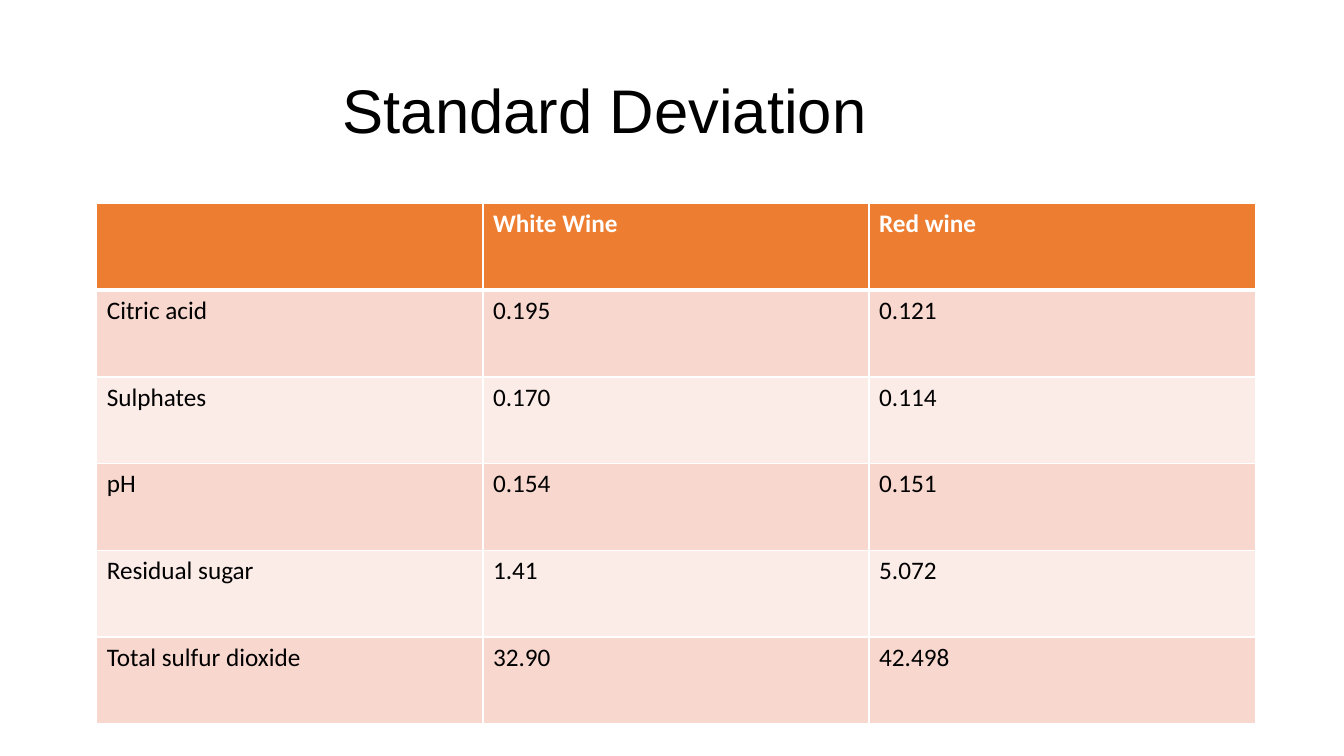
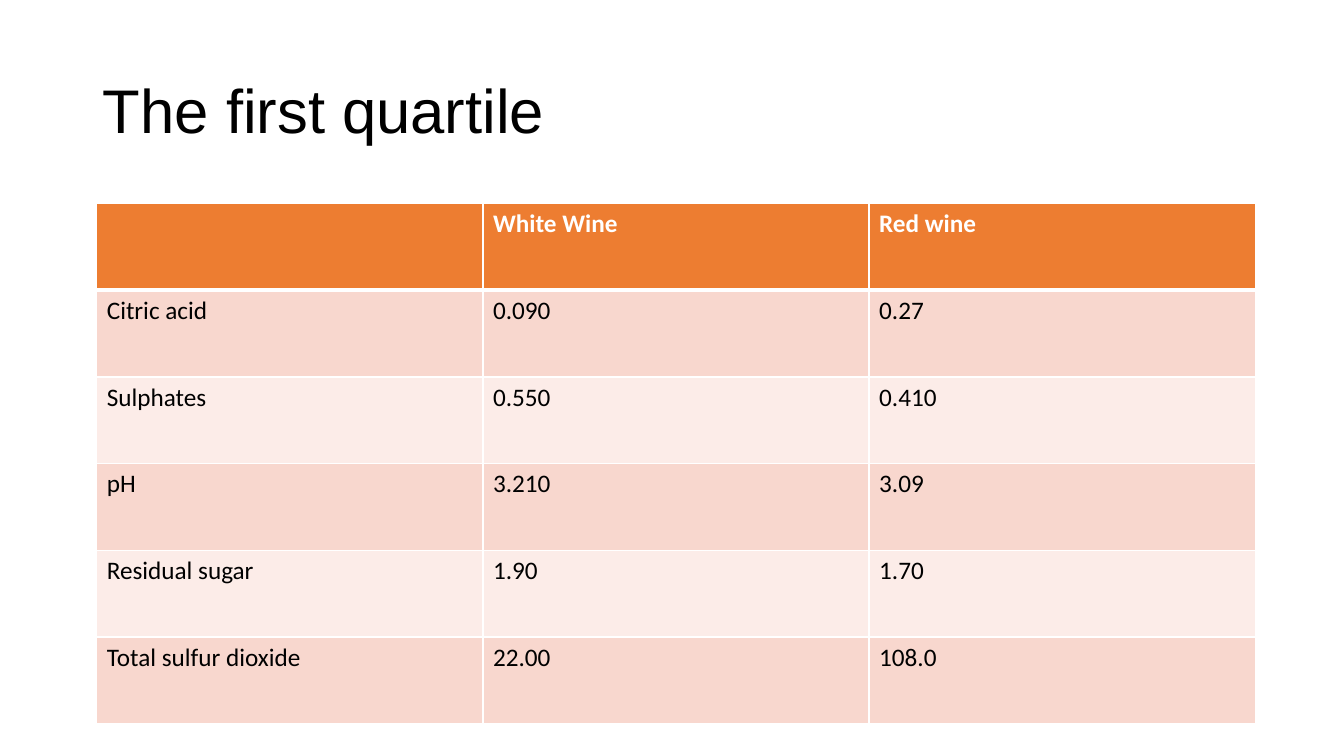
from lxml.etree import SubElement
from pptx import Presentation
from pptx.dml.color import RGBColor
from pptx.enum.text import MSO_ANCHOR as Anchor, MSO_AUTO_SIZE as AutoSize, PP_ALIGN as Align
from pptx.oxml.ns import qn
from pptx.util import Inches, Pt

SLIDE_WIDTH, SLIDE_HEIGHT = 13.33, 7.5
TITLE_BOX = (0.92, 0.4, 11.5, 1.45)
TITLE_INSET = 0.1
TABLE_LEFT, TABLE_TOP = 0.96, 2.02
COLUMN_WIDTH, ROW_HEIGHT = 3.83, 0.86

BLACK, WHITE = "000000", "FFFFFF"
HEADER_FILL = "ED7D31"
BAND_FILLS = ("F8D7CE", "FCECE8")
THIN, THICK = 1, 3

HEADER = ("", "White Wine", "Red wine")
PROPERTIES = ("Citric acid", "Sulphates", "pH", "Residual sugar", "Total sulfur dioxide")
SLIDES = (
    ("Standard Deviation", 2.38,
     ("0.195", "0.170", "0.154", "1.41", "32.90"),
     ("0.121", "0.114", "0.151", "5.072", "42.498")),
    ("The first quartile", 0,
     ("0.090", "0.550", "3.210", "1.90", "22.00"),
     ("0.27", "0.410", "3.09", "1.70", "108.0")),
)


def color(value):
    return RGBColor.from_string(value)


def write(frame, text, size=18, font="Calibri", fill=BLACK, bold=False, spacing=1.0):
    paragraph = frame.paragraphs[0]
    paragraph.alignment = Align.LEFT
    paragraph.line_spacing = spacing
    if not text:
        return
    run = paragraph.add_run()
    run.text = text
    run.font.size = Pt(size)
    run.font.name = font
    run.font.bold = bold
    run.font.color.rgb = color(fill)


def set_borders(cell, top, bottom):
    properties = cell._tc.get_or_add_tcPr()
    for side, width in (("L", THIN), ("R", THIN), ("T", top), ("B", bottom)):
        line = SubElement(properties, qn(f"a:ln{side}"), w=str(Pt(width)))
        solid = SubElement(line, qn("a:solidFill"))
        SubElement(solid, qn("a:srgbClr"), val=WHITE)


def prepare_layout(presentation):
    layout = presentation.slide_layouts.get_by_name("Title Only")
    title = next(shape for shape in layout.placeholders if shape.placeholder_format.idx == 0)
    title.left, title.top, title.width, title.height = map(Inches, TITLE_BOX)
    return layout


def add_title(slide, text, indent):
    frame = slide.shapes.title.text_frame
    frame.auto_size = AutoSize.NONE
    frame.word_wrap = True
    frame.vertical_anchor = Anchor.MIDDLE
    frame.margin_left = Inches(TITLE_INSET + indent)
    write(frame, text, size=44, font="Arial", spacing=0.9)


def add_data_table(slide, rows):
    row_count, column_count = len(rows), len(rows[0])
    table = slide.shapes.add_table(
        row_count, column_count, Inches(TABLE_LEFT), Inches(TABLE_TOP),
        Inches(COLUMN_WIDTH * column_count), Inches(ROW_HEIGHT * row_count)).table
    for row_index, texts in enumerate(rows):
        is_header = row_index == 0
        fill = HEADER_FILL if is_header else BAND_FILLS[(row_index - 1) % 2]
        for column_index, text in enumerate(texts):
            cell = table.cell(row_index, column_index)
            set_borders(cell, top=THICK if row_index == 1 else THIN,
                        bottom=THICK if is_header else THIN)
            cell.fill.solid()
            cell.fill.fore_color.rgb = color(fill)
            write(cell.text_frame, text, fill=WHITE if is_header else BLACK, bold=is_header)


def main():
    presentation = Presentation()
    presentation.slide_width = Inches(SLIDE_WIDTH)
    presentation.slide_height = Inches(SLIDE_HEIGHT)
    layout = prepare_layout(presentation)
    for title, indent, white_wine, red_wine in SLIDES:
        slide = presentation.slides.add_slide(layout)
        add_title(slide, title, indent)
        add_data_table(slide, [HEADER, *zip(PROPERTIES, white_wine, red_wine)])
    presentation.save("out.pptx")


if __name__ == "__main__":
    main()
